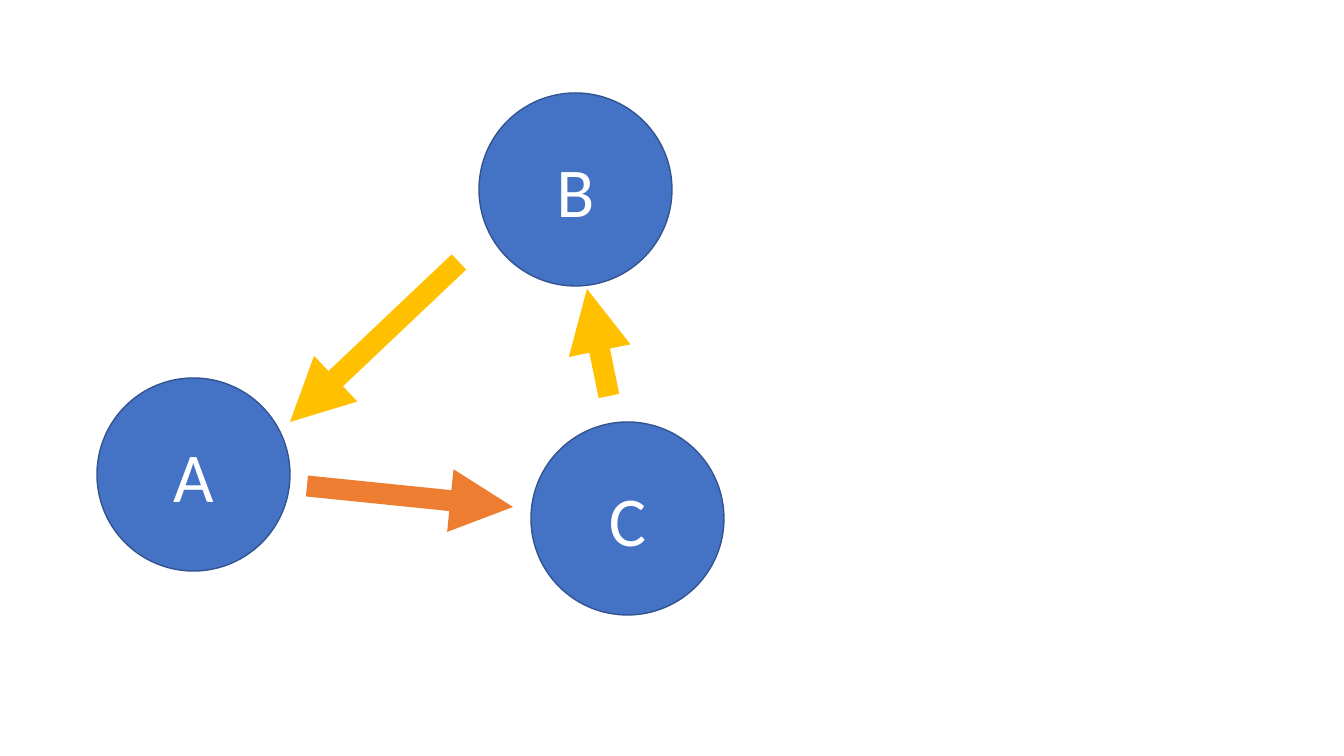
from lxml import etree
from pptx import Presentation
from pptx.dml.color import RGBColor
from pptx.enum.shapes import MSO_CONNECTOR as LINK, MSO_SHAPE as SHAPE
from pptx.enum.text import MSO_ANCHOR as ANCHOR, PP_ALIGN as ALIGN
from pptx.oxml.ns import qn
from pptx.util import Pt

PX = 12192000 / 1344
BLUE = RGBColor(0x44, 0x72, 0xC4)
NAVY = RGBColor(0x32, 0x54, 0x91)
GOLD = RGBColor(0xFF, 0xC0, 0x00)
ORANGE = RGBColor(0xED, 0x7D, 0x31)
WHITE = RGBColor(0xFF, 0xFF, 0xFF)

SIZE = 193
NODES = {"C": (434, 329), "B": (382, 0), "A": (0, 285)}
ARROWS = [
    ((362, 169), (193, 329), GOLD),
    ((210, 393), (416, 414), ORANGE),
    ((512, 303), (490, 196), GOLD),
]


def emu(*px):
    return [round(n * PX) for n in px]


def add_node(slide, name, left, top):
    node = slide.shapes.add_shape(SHAPE.OVAL, *emu(left, top, SIZE, SIZE))
    node.shadow.inherit = False
    node.fill.solid()
    node.fill.fore_color.rgb = BLUE
    node.line.color.rgb = NAVY
    node.line.width = Pt(1)
    frame = node.text_frame
    frame.vertical_anchor = ANCHOR.MIDDLE
    par = frame.paragraphs[0]
    par.alignment = ALIGN.CENTER
    run = par.add_run()
    run.text = name
    run.font.color.rgb = WHITE
    for key, value in {"name": "Calibri", "size": Pt(50)}.items():
        setattr(run.font, key, value)


def add_arrow(slide, start, end, color):
    arrow = slide.shapes.add_connector(LINK.STRAIGHT, *emu(*start, *end))
    arrow.line.color.rgb = color
    arrow.line.width = Pt(15)
    props = arrow._element.spPr
    etree.SubElement(props.find(qn("a:ln")), qn("a:tailEnd"), type="triangle")
    etree.SubElement(props, qn("a:effectLst"))


def add_graph(slide, left, top):
    """Draw the three nodes and their arrows from the given corner."""
    def place(x, y):
        return left + x, top + y

    for name, spot in NODES.items():
        add_node(slide, name, *place(*spot))
    for start, end, color in ARROWS:
        add_arrow(slide, place(*start), place(*end), color)


def main():
    deck = Presentation()
    deck.slide_width, deck.slide_height = emu(1344, 756)
    slide = deck.slides.add_slide(deck.slide_layouts[6])
    add_graph(slide, 97, 93)
    deck.save("out.pptx")


if __name__ == "__main__":
    main()
